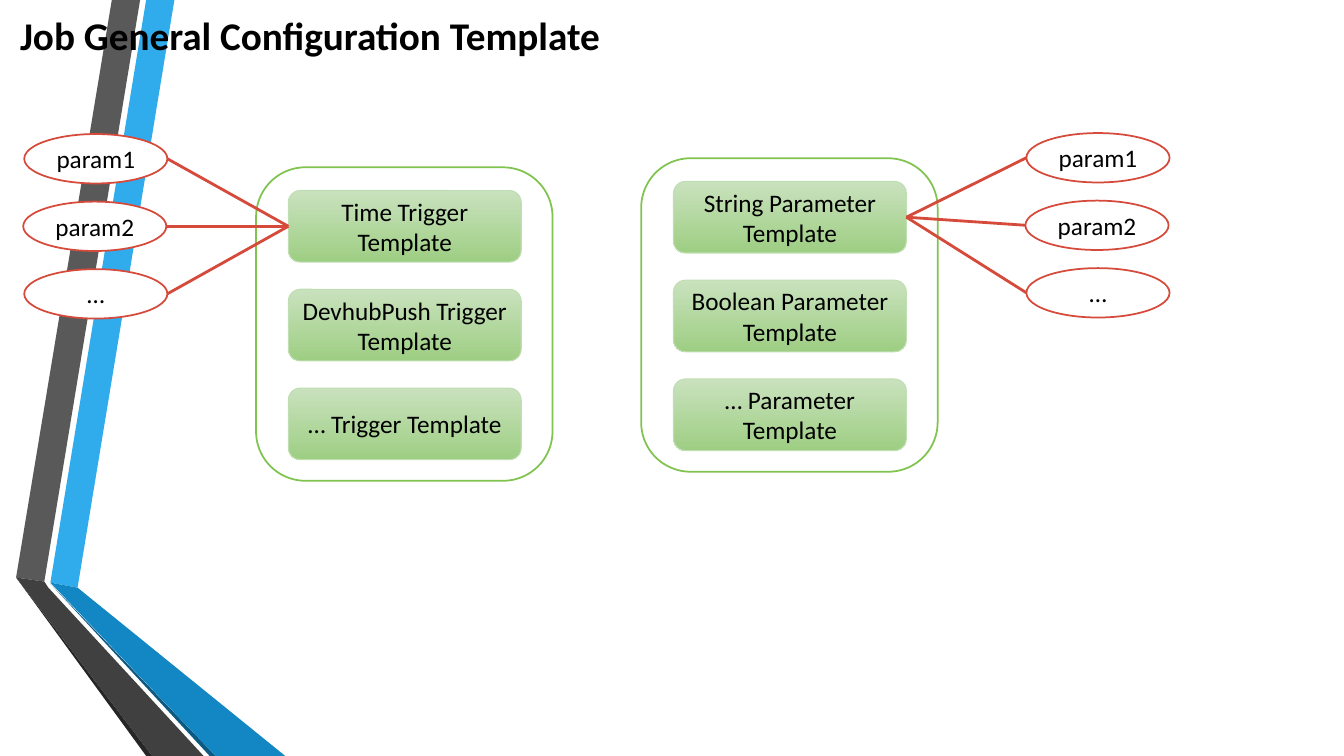
import pptx
import pptx.util
from pptx.dml.color import RGBColor
from pptx.enum.shapes import MSO_CONNECTOR, MSO_SHAPE
from pptx.enum.text import MSO_ANCHOR, MSO_AUTO_SIZE, PP_ALIGN
from pptx.oxml.ns import qn
from pptx.util import Inches, Pt

TITLE = "Job General Configuration Template"
PARAMS = ["param1", "param2", "…"]
# panel left, panel top, template names, params left, params top, params on the right
GROUPS = [
    (6.36, 1.57, ["String Parameter Template", "Boolean Parameter Template",
                  "… Parameter Template"], 10.18, 1.32, True),
    (2.54, 1.66, ["Time Trigger Template", "DevhubPush Trigger Template",
                  "… Trigger Template"], 0.24, 1.33, False),
]
RIBBONS = [
    ("30ACEC", [(0.5, 5.78), (0.77, 5.83), (1.73, 0), (1.45, 0)]),
    ("595959", [(1.39, 0), (1.11, 0), (0.16, 5.73), (0.44, 5.77)]),
    ("262626", [(0.16, 5.73), (1.45, 7.5), (1.51, 7.5)]),
    ("0C5A82", [(0.5, 5.79), (2.08, 7.5), (2.14, 7.5)]),
    ("1287C3", [(0.5, 5.78), (2.14, 7.5), (2.83, 7.5), (0.77, 5.83)]),
    ("404040", [(2.02, 7.5), (0.48, 5.83), (0.44, 5.77), (0.16, 5.73), (1.51, 7.5)]),
]

FONT = "Calibri"
BLACK = RGBColor(0x00, 0x00, 0x00)
WHITE = RGBColor(0xFF, 0xFF, 0xFF)
RED = RGBColor(0xD6, 0x4A, 0x3B)
GREEN = RGBColor(0x80, 0xC3, 0x4F)
CARD_EDGE = RGBColor(0xC0, 0xDE, 0xB3)
CARD_TOP = RGBColor(0xC9, 0xE2, 0xBE)
CARD_BOTTOM = RGBColor(0x9E, 0xCE, 0x83)

PANEL_W, PANEL_H = 2.94, 3.11
CARD_W, CARD_H, CARD_STEP = 2.31, 0.71, 0.98
CARD_DX, CARD_DY = 0.32, 0.23
PARAM_W, PARAM_H, PARAM_STEP = 1.42, 0.49, 0.67
PARAM_SHIFT = [0, -0.01, 0]


def add_ribbon(page, color, points):
    start, *rest = [(Inches(x), Inches(y)) for x, y in points]
    builder = page.shapes.build_freeform(*start, scale=1.0)
    builder.add_line_segments(rest, close=True)
    ribbon = builder.convert_to_shape()
    ribbon.shadow.inherit = False
    ribbon.fill.solid()
    ribbon.fill.fore_color.rgb = RGBColor.from_string(color)
    ribbon.line.fill.background()


def style_text(frame, text, size, bold=False):
    frame.text = text
    font = frame.paragraphs[0].runs[0].font
    font.name, font.size, font.bold = FONT, Pt(size), bold
    font.color.rgb = BLACK


def add_box(page, kind, place, edge, edge_width, text=None):
    """Add a white outlined shape, with centred text if given."""
    box = page.shapes.add_shape(kind, *map(Inches, place))
    box.shadow.inherit = False
    box.fill.solid()
    box.fill.fore_color.rgb = WHITE
    box.line.color.rgb = edge
    box.line.width = Pt(edge_width)
    if text:
        style_text(box.text_frame, text, 18)
        box.text_frame.word_wrap = True
        box.text_frame.vertical_anchor = MSO_ANCHOR.MIDDLE
        box.text_frame.paragraphs[0].alignment = PP_ALIGN.CENTER
    return box


def add_card(page, left, top, text):
    card = add_box(page, MSO_SHAPE.ROUNDED_RECTANGLE, (left, top, CARD_W, CARD_H),
                   CARD_EDGE, 0.75, text)
    card.fill.gradient()
    card.fill.gradient_angle = 270
    for stop, color in zip(card.fill.gradient_stops, (CARD_TOP, CARD_BOTTOM)):
        stop.color.rgb = color
    return card


def link(page, param, card, on_right):
    """Join the inner side of a parameter to the facing side of a card."""
    x = param.left if on_right else param.left + param.width
    y = param.top + param.height // 2
    line = page.shapes.add_connector(MSO_CONNECTOR.STRAIGHT, x, y, x, y)
    line.end_connect(card, 3 if on_right else 1)
    line.line.color.rgb = RED
    line.line.width = Pt(2)
    properties = line._element.spPr
    properties.append(properties.makeelement(qn("a:effectLst"), {}))


def add_group(page, left, top, names, params_left, params_top, on_right):
    add_box(page, MSO_SHAPE.ROUNDED_RECTANGLE, (left, top, PANEL_W, PANEL_H), GREEN, 1.25)
    cards = [add_card(page, left + CARD_DX, top + CARD_DY + row * CARD_STEP, name)
             for row, name in enumerate(names)]
    for row, (name, shift) in enumerate(zip(PARAMS, PARAM_SHIFT)):
        place = (params_left + shift, params_top + row * PARAM_STEP, PARAM_W, PARAM_H)
        param = add_box(page, MSO_SHAPE.OVAL, place, RED, 1.25, name)
        link(page, param, cards[0], on_right)


def main():
    deck = pptx.Presentation()
    deck.slide_width, deck.slide_height = Inches(13.33), Inches(7.5)
    page = deck.slides.add_slide(deck.slide_layouts[6])
    for color, points in RIBBONS:
        add_ribbon(page, color, points)
    for group in GROUPS:
        add_group(page, *group)
    title = page.shapes.add_textbox(Inches(0.1), Inches(0.06), Inches(6.25), Inches(0.57))
    style_text(title.text_frame, TITLE, 28, bold=True)
    title.text_frame.word_wrap = False
    title.text_frame.auto_size = MSO_AUTO_SIZE.SHAPE_TO_FIT_TEXT
    deck.save("out.pptx")


if __name__ == "__main__":
    main()
